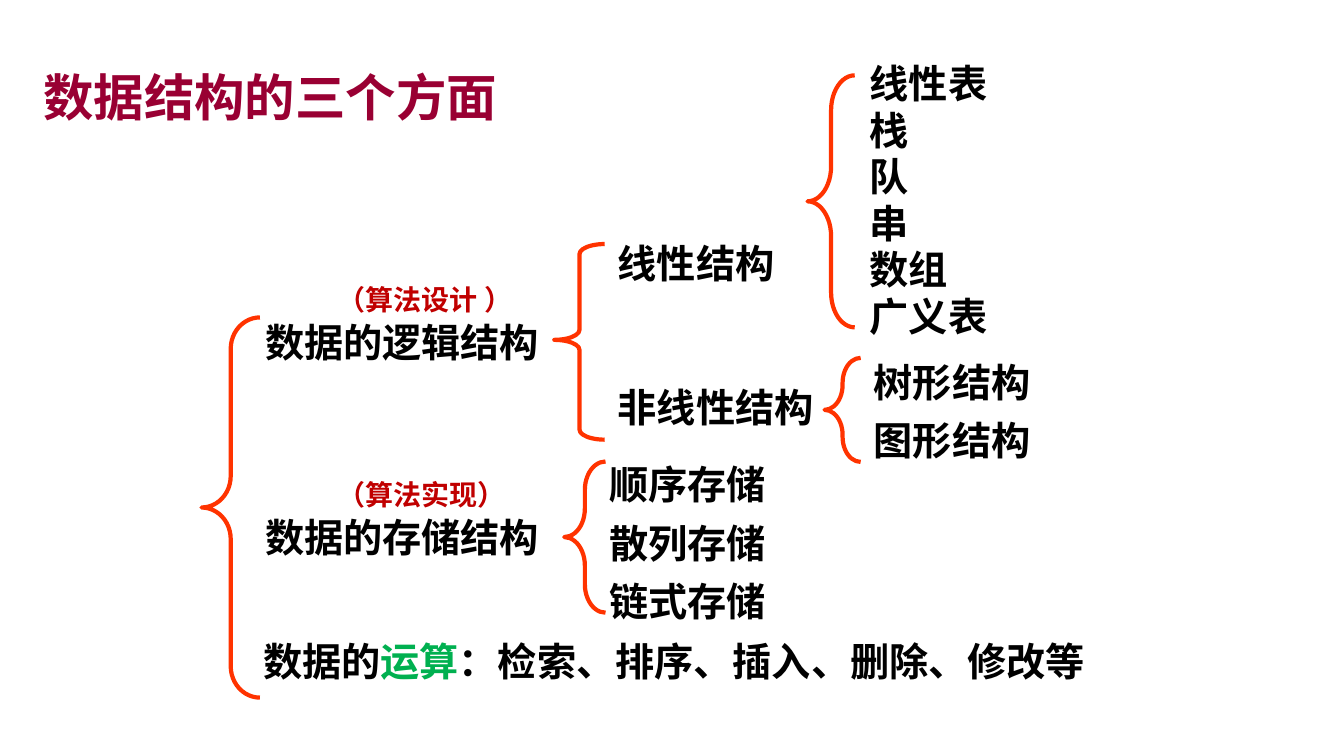
from dataclasses import dataclass

from pptx import Presentation
from pptx.dml.color import RGBColor
from pptx.enum.shapes import MSO_SHAPE
from pptx.enum.text import MSO_ANCHOR, MSO_AUTO_SIZE, PP_ALIGN
from pptx.util import Cm, Pt

BRACE = MSO_SHAPE.LEFT_BRACE
MIDDLE = MSO_ANCHOR.MIDDLE
FIXED = MSO_AUTO_SIZE.NONE
LEFT = PP_ALIGN.LEFT


@dataclass(frozen=True)
class Theme:
    ink: RGBColor = RGBColor(0, 0, 0)
    title: RGBColor = RGBColor(0x99, 0x00, 0x33)
    note: RGBColor = RGBColor(0xC0, 0x00, 0x00)
    mark: RGBColor = RGBColor(0x00, 0xB0, 0x50)
    brace: RGBColor = RGBColor(0xFF, 0x33, 0x00)
    serif: str = "Times New Roman"
    sans: str = "Noto Sans CJK SC"
    head: int = 36
    body: int = 28
    small: int = 20
    line: int = 3


THEME = Theme()


def style(font, name, size, color):
    font.name = name
    font.size = Pt(size)
    font.bold = True
    font.color.rgb = color


def add_title(slide, box, words):
    title = slide.shapes.title
    title.left, title.top, title.width, title.height = map(Cm, box)
    frame = title.text_frame
    frame.text = words
    frame.auto_size = FIXED
    frame.vertical_anchor = MIDDLE
    para = frame.paragraphs[0]
    para.alignment = LEFT
    style(para.font, THEME.sans, THEME.head, THEME.title)


def add_text(slide, x, mid, words, name=THEME.serif, size=THEME.body, color=THEME.ink):
    em = size * 2.54 / 72
    high = em * 1.45
    wide = em * (len(words) + 0.5)
    box = slide.shapes.add_textbox(Cm(x), Cm(mid - high / 2), Cm(wide), Cm(high))
    frame = box.text_frame
    frame.word_wrap = True
    frame.vertical_anchor = MIDDLE
    frame.margin_left = frame.margin_right = frame.margin_top = frame.margin_bottom = 0
    para = frame.paragraphs[0]
    para.alignment = LEFT
    style(para.font, name, size, color)
    para.add_run().text = words
    return para


def add_brace(slide, box, curve, point=0.5):
    shape = slide.shapes.add_shape(BRACE, *map(Cm, box))
    shape.shadow.inherit = False
    shape.fill.background()
    shape.line.color.rgb = THEME.brace
    shape.line.width = Pt(THEME.line)
    shape.adjustments[0] = curve
    shape.adjustments[1] = point


def add_branch(slide, box, curve, point, indent, first, step, items):
    add_brace(slide, box, curve, point)
    for row, words in enumerate(items):
        add_text(slide, box[0] + indent, box[1] + first + row * step, words)


def add_root(slide, box):
    left, top = box[:2]
    add_brace(slide, box, 0.54)
    parts = (("数据的逻辑结构", "（算法设计 ）", 0.62), ("数据的存储结构", "（算法实现）", 5.53))
    for words, note, mid in parts:
        add_text(slide, left + 1.6, top + mid, words)
        add_text(slide, left + 3.43, top + mid - 1.08, note,
                 THEME.sans, THEME.small, THEME.note)
    para = add_text(slide, left + 1.55, top + 8.65, "数据的")
    mark = para.add_run()
    mark.text = "运算"
    mark.font.color.rgb = THEME.mark
    para.add_run().text = "：检索、排序、插入、删除、修改等"


def widen_last(slide, wide):
    slide.shapes[-1].width = Cm(wide)


def main():
    deck = Presentation()
    deck.slide_width, deck.slide_height = Cm(33.87), Cm(19.05)
    slide = deck.slides.add_slide(deck.slide_layouts[5])
    add_title(slide, (0.84, 1.52, 31.75, 1.8), "数据结构的三个方面")
    add_root(slide, (5.08, 8, 1.47, 9.58))
    widen_last(slide, 21.5)
    branches = (
        ((13.97, 6.15, 1.27, 4.93), 0.2, 0.49, 1.6, 0.47, 3.63,
         ("线性结构", "非线性结构")),
        ((14.22, 11.63, 1.04, 3.81), 0.69, 0.5, 1.14, 0.57, 1.47,
         ("顺序存储", "散列存储", "链式存储")),
        ((20.35, 1.9, 1.19, 6.35), 0.74, 0.5, 1.57, 0.2, 1.17,
         ("线性表", "栈", "队", "串", "数组", "广义表")),
        ((20.78, 9.02, 0.91, 2.62), 0.69, 0.5, 1.24, 0.59, 1.47,
         ("树形结构", "图形结构")),
    )
    for branch in branches:
        add_branch(slide, *branch)
    deck.save("out.pptx")


if __name__ == "__main__":
    main()
